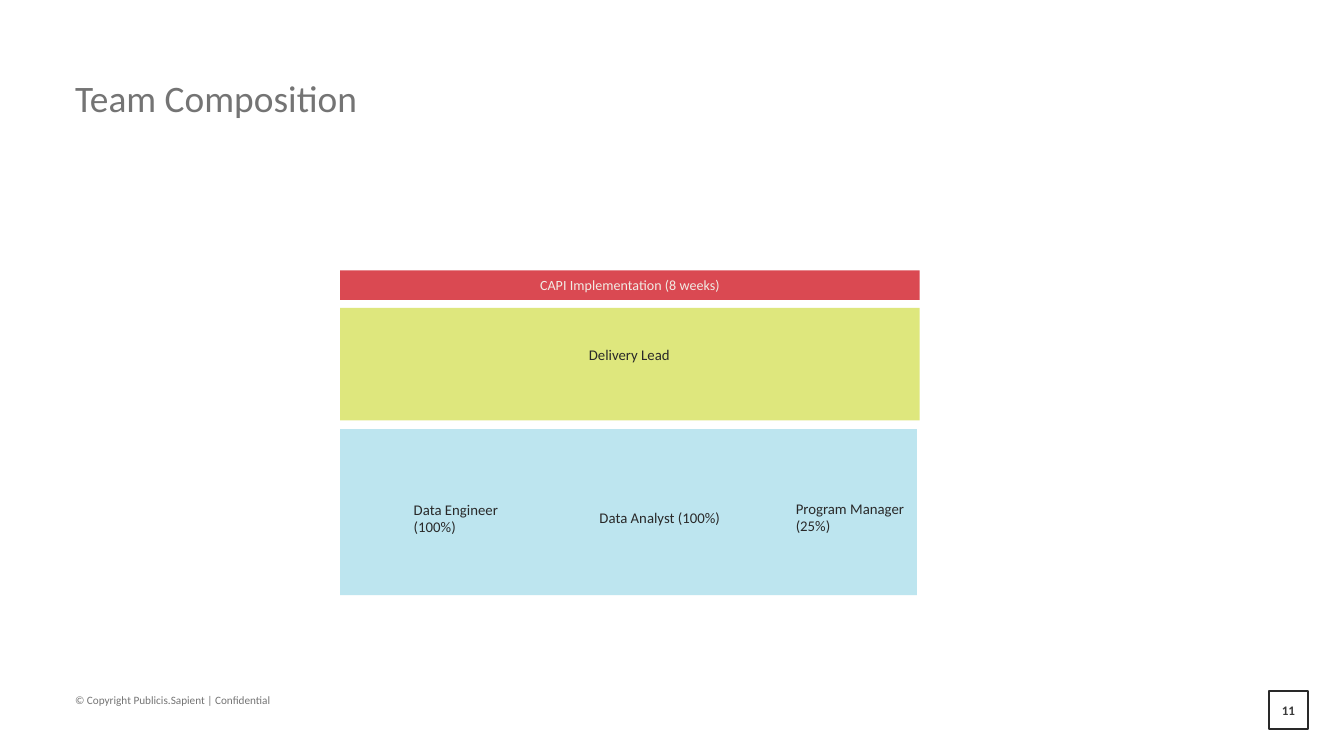
"""Build the team composition slide with its delivery bands and roles."""
import pptx
import pptx.dml.color
import pptx.enum.shapes
import pptx.enum.text
import pptx.util

Cm = pptx.util.Cm
Pt = pptx.util.Pt
ALIGN = pptx.enum.text.PP_ALIGN
ANCHOR = pptx.enum.text.MSO_ANCHOR


def color(value):
    return pptx.dml.color.RGBColor.from_string(value)


def write(shape, text, size, text_color, anchor=ANCHOR.MIDDLE, align=ALIGN.LEFT):
    frame = shape.text_frame
    frame.word_wrap = True
    frame.vertical_anchor = anchor
    frame.margin_left = frame.margin_right = frame.margin_top = frame.margin_bottom = 0
    paragraph = frame.paragraphs[0]
    paragraph.text = text
    paragraph.alignment = align
    paragraph.font.name = "Calibri"
    paragraph.font.size = Pt(size)
    paragraph.font.color.rgb = color(text_color)
    return paragraph


presentation = pptx.Presentation()
presentation.slide_width = Cm(25.4)
presentation.slide_height = Cm(14.29)
slide = presentation.slides.add_slide(presentation.slide_layouts[6])

headings = [
    ("Team Composition", 1.42, 22.56, 1.73, 20),
    ("© Copyright Publicis.Sapient | Confidential", 13.11, 7.49, 0.23, 6),
]
for text, top, width, height, size in headings:
    shape = slide.shapes.add_textbox(Cm(1.42), Cm(top), Cm(width), Cm(height))
    write(shape, text, size, "747474", ANCHOR.TOP)

rectangles = [
    ("DA4952", 6.43, 5.11, 10.95, 0.56, "CAPI Implementation (8 weeks)", 7.5, "F1ECE5"),
    ("DEE77D", 6.43, 5.82, 10.95, 2.13, "", 7.9, "292929"),
    ("BDE5EF", 6.43, 8.11, 10.9, 3.14, "", 7.9, "292929"),
    (None, 23.98, 13.06, 0.74, 0.72, "11", 7, "3A3A3A"),
]
for fill, left, top, width, height, text, size, text_color in rectangles:
    shape = slide.shapes.add_shape(
        pptx.enum.shapes.MSO_SHAPE.RECTANGLE, Cm(left), Cm(top), Cm(width), Cm(height))
    shape.shadow.inherit = False
    if fill:
        shape.fill.solid()
        shape.fill.fore_color.rgb = color(fill)
        shape.line.fill.background()
    else:
        shape.fill.background()
        shape.line.color.rgb = color("292929")
        shape.line.width = Pt(1)
    if text:
        paragraph = write(shape, text, size, text_color, align=ALIGN.CENTER)
        paragraph.font.bold = fill is None

roles = [
    ("Delivery Lead", 11.13, 6.35, 2.87),
    ("Data Engineer (100%)", 7.82, 9.45, 2.06),
    ("Data Analyst (100%)", 11.33, 9.43, 2.39),
    ("Program Manager (25%)", 15.04, 9.43, 2.06),
]
for text, left, top, width in roles:
    shape = slide.shapes.add_textbox(Cm(left), Cm(top), Cm(width), Cm(0.69))
    write(shape, text, 7.9, "292929")

presentation.save("out.pptx")
